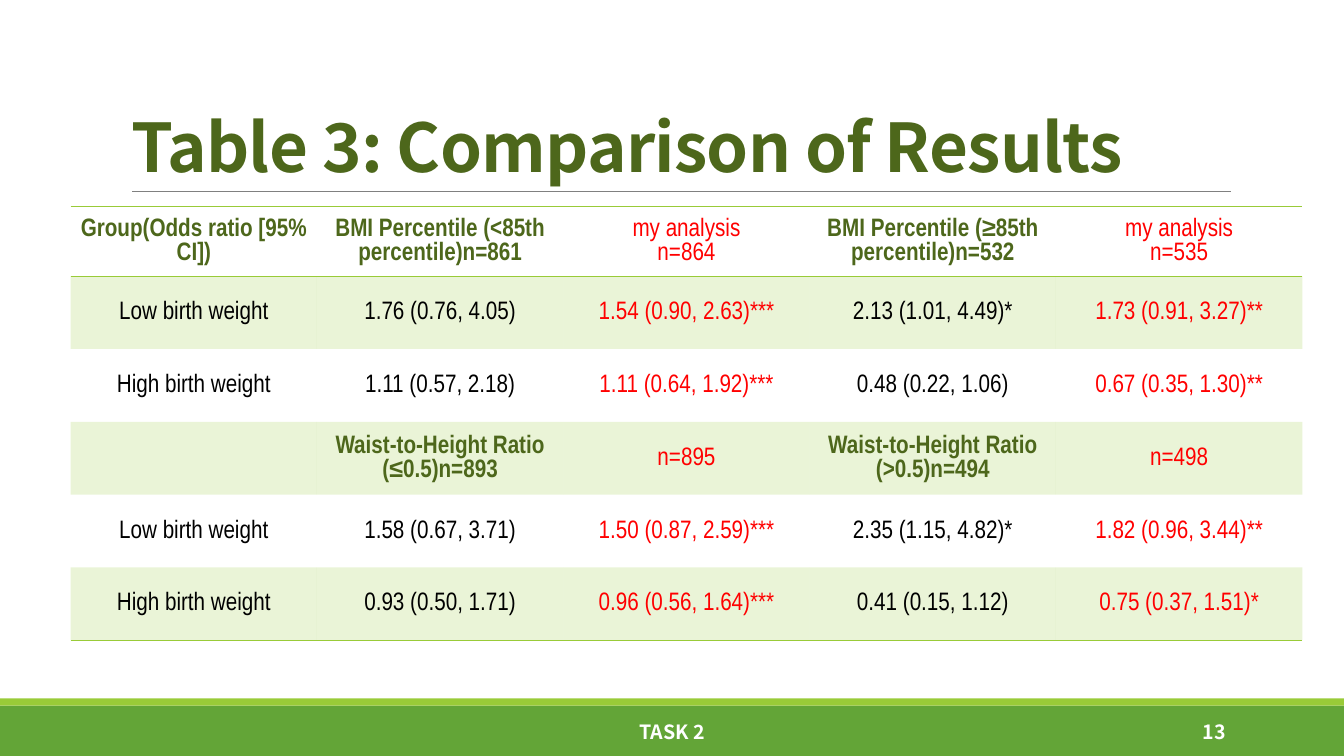
from lxml import etree
from pptx import Presentation
from pptx.dml.color import RGBColor
from pptx.enum import shapes, text
from pptx.oxml import ns
from pptx.util import Cm, Pt

COLORS = {"title": "4D671B", "lime": "99CB38", "green": "63A537", "rule": "808080",
          "mine": "FF0000", "body": "000000", "white": "FFFFFF"}
TITLE_FONT = "Noto Sans CJK SC"
TABLE_FONT = "Arial Narrow"
PLAIN_STYLE = "{2D5ABB26-0587-4C30-8999-92F81FD0307C}"
HEADING_ROWS = (0, 3)
MY_COLUMNS = (2, 4)
RESULTS = [
    ["Group(Odds ratio [95% CI])", "BMI Percentile (<85th percentile)n=861",
     "my analysis\nn=864", "BMI Percentile (≥85th percentile)n=532", "my analysis\nn=535"],
    ["Low birth weight", "1.76 (0.76, 4.05)", "1.54 (0.90, 2.63)***",
     "2.13 (1.01, 4.49)*", "1.73 (0.91, 3.27)**"],
    ["High birth weight", "1.11 (0.57, 2.18)", "1.11 (0.64, 1.92)***",
     "0.48 (0.22, 1.06)", "0.67 (0.35, 1.30)**"],
    ["", "Waist-to-Height Ratio (≤0.5)n=893", "n=895",
     "Waist-to-Height Ratio (>0.5)n=494", "n=498"],
    ["Low birth weight", "1.58 (0.67, 3.71)", "1.50 (0.87, 2.59)***",
     "2.35 (1.15, 4.82)*", "1.82 (0.96, 3.44)**"],
    ["High birth weight", "0.93 (0.50, 1.71)", "0.96 (0.56, 1.64)***",
     "0.41 (0.15, 1.12)", "0.75 (0.37, 1.51)*"],
]


def rgb(name):
    """Return the palette colour of that name."""
    return RGBColor.from_string(COLORS[name])


def style_paragraph(paragraph, font, size, color, bold, align):
    """Set the font and alignment of a paragraph."""
    paragraph.alignment = align
    paragraph.font.name = font
    paragraph.font.size = Pt(size)
    paragraph.font.bold = bold
    paragraph.font.color.rgb = rgb(color)


def add_heading(slide, left, top, width, height):
    """Place the title at the bottom of the box, with a rule under it."""
    title = slide.shapes.title
    title.left, title.top, title.width, title.height = left, top, width, height
    frame = title.text_frame
    frame.text = "Table 3: Comparison of Results"
    frame.word_wrap = True
    frame.auto_size = text.MSO_AUTO_SIZE.NONE
    frame.vertical_anchor = text.MSO_ANCHOR.BOTTOM
    heading = frame.paragraphs[0]
    style_paragraph(heading, TITLE_FONT, 48, "title", True, text.PP_ALIGN.LEFT)
    heading.line_spacing = 0.85
    heading.runs[0]._r.get_or_add_rPr().set("spc", "-50")

    bottom = top + height
    rule = slide.shapes.add_connector(shapes.MSO_CONNECTOR.STRAIGHT, left + Cm(0.28), bottom,
                                      left + width + Cm(0.02), bottom)
    rule.line.color.rgb = rgb("rule")
    rule.line.width = Pt(0.5)
    etree.SubElement(rule._element.spPr, ns.qn("a:effectLst"))


def add_border(cell, side):
    """Draw a lime line on one side of a cell."""
    edge = etree.SubElement(cell._tc.get_or_add_tcPr(), ns.qn(f"a:{side}"), w=str(Pt(1)))
    paint = etree.SubElement(edge, ns.qn("a:solidFill"))
    etree.SubElement(paint, ns.qn("a:srgbClr"), val=COLORS["lime"])


def fill_band(cell, banded):
    """Give a cell a pale lime fill, or none."""
    if not banded:
        cell.fill.background()
        return
    cell.fill.solid()
    cell.fill.fore_color.rgb = rgb("lime")
    tint = cell._tc.tcPr.find(ns.qn("a:solidFill")).find(ns.qn("a:srgbClr"))
    etree.SubElement(tint, ns.qn("a:alpha"), val="20000")


def add_results(slide, left, top, width, height):
    """Fill the box with the table of odds ratios."""
    frame = slide.shapes.add_table(len(RESULTS), len(RESULTS[0]), left, top, width, height)
    results = frame.table
    frame._element.find(".//" + ns.qn("a:tableStyleId")).text = PLAIN_STYLE
    header_height = Cm(1.75)
    for r, row in enumerate(RESULTS):
        results.rows[r].height = (header_height if r == 0
                                  else (height - header_height) // (len(RESULTS) - 1))
        for c, value in enumerate(row):
            cell = results.cell(r, c)
            cell.text = value
            cell.vertical_anchor = text.MSO_ANCHOR.MIDDLE
            cell.margin_left = cell.margin_right = cell.margin_top = Cm(0.03)
            cell.margin_bottom = 0
            label = r in HEADING_ROWS and c not in MY_COLUMNS
            color = "mine" if c in MY_COLUMNS else "title" if label else "body"
            for paragraph in cell.text_frame.paragraphs:
                style_paragraph(paragraph, TABLE_FONT, 18, color, label, text.PP_ALIGN.CENTER)
            if r == 0:
                add_border(cell, "lnT")
            if r in (0, len(RESULTS) - 1):
                add_border(cell, "lnB")
            fill_band(cell, r % 2 == 1)


def add_footer(slide, left, top, width, height):
    """Fill the box with the footer bands, the task name and the page number."""
    stripe = Cm(0.18)
    for color, y, depth in (("green", top + stripe, height - stripe), ("lime", top, stripe)):
        band = slide.shapes.add_shape(shapes.MSO_SHAPE.RECTANGLE, left, y, width, depth)
        band.shadow.inherit = False
        band.fill.solid()
        band.fill.fore_color.rgb = rgb(color)
        band.line.fill.background()
    for words, x, span, align in (
            ("TASK 2", Cm(10.24), Cm(13.39), text.PP_ALIGN.CENTER),
            ("13", Cm(27.51), Cm(3.63), text.PP_ALIGN.RIGHT)):
        note = slide.shapes.add_textbox(left + x, top + Cm(0.33), span, Cm(1.02)).text_frame
        note.word_wrap = True
        note.vertical_anchor = text.MSO_ANCHOR.MIDDLE
        note.text = words
        style_paragraph(note.paragraphs[0], TITLE_FONT, 14, "white", True, align)


def main():
    """Build the slide and save it."""
    deck = Presentation()
    deck.slide_width, deck.slide_height = Cm(33.87), Cm(19.05)
    slide = deck.slides.add_slide(deck.slide_layouts[5])
    add_footer(slide, 0, Cm(17.6), deck.slide_width, Cm(1.45))
    add_heading(slide, Cm(3.05), Cm(0.79), Cm(27.94), Cm(4.04))
    add_results(slide, Cm(1.78), Cm(5.21), Cm(31.04), Cm(10.92))
    deck.save("out.pptx")


if __name__ == "__main__":
    main()
